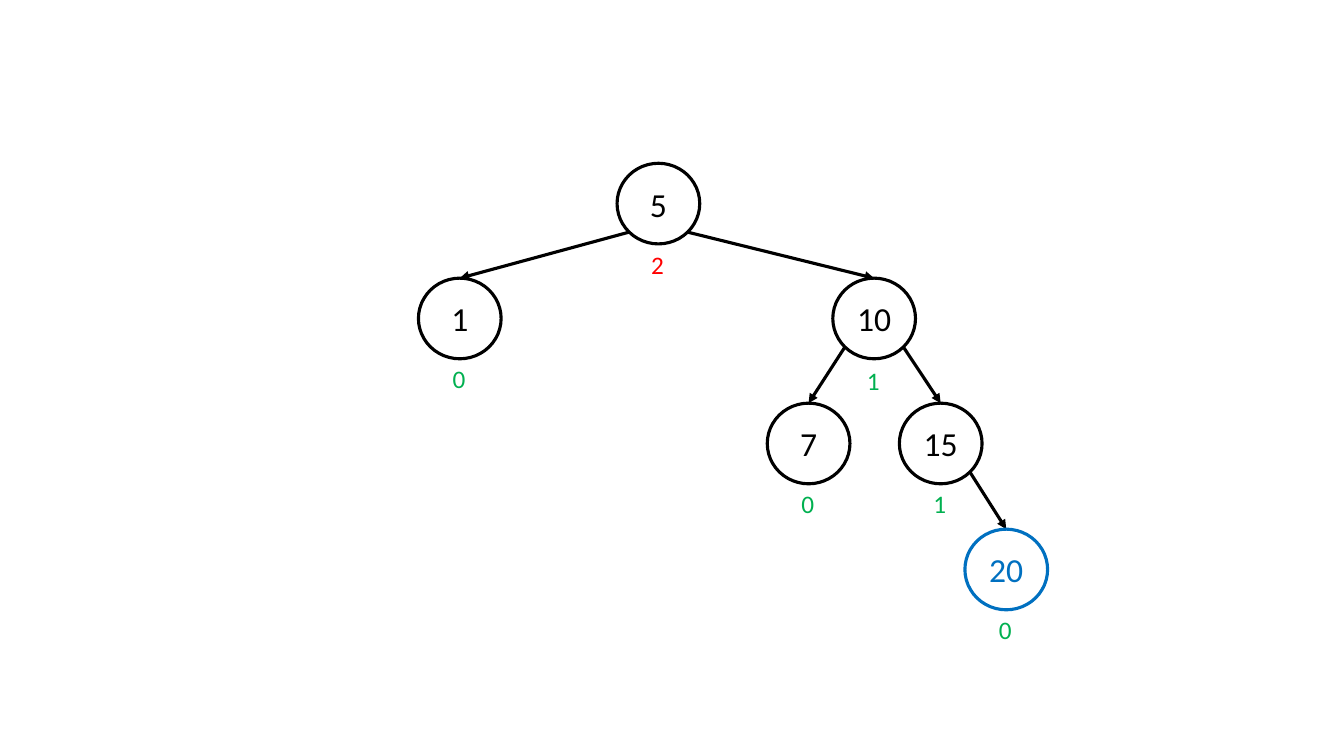
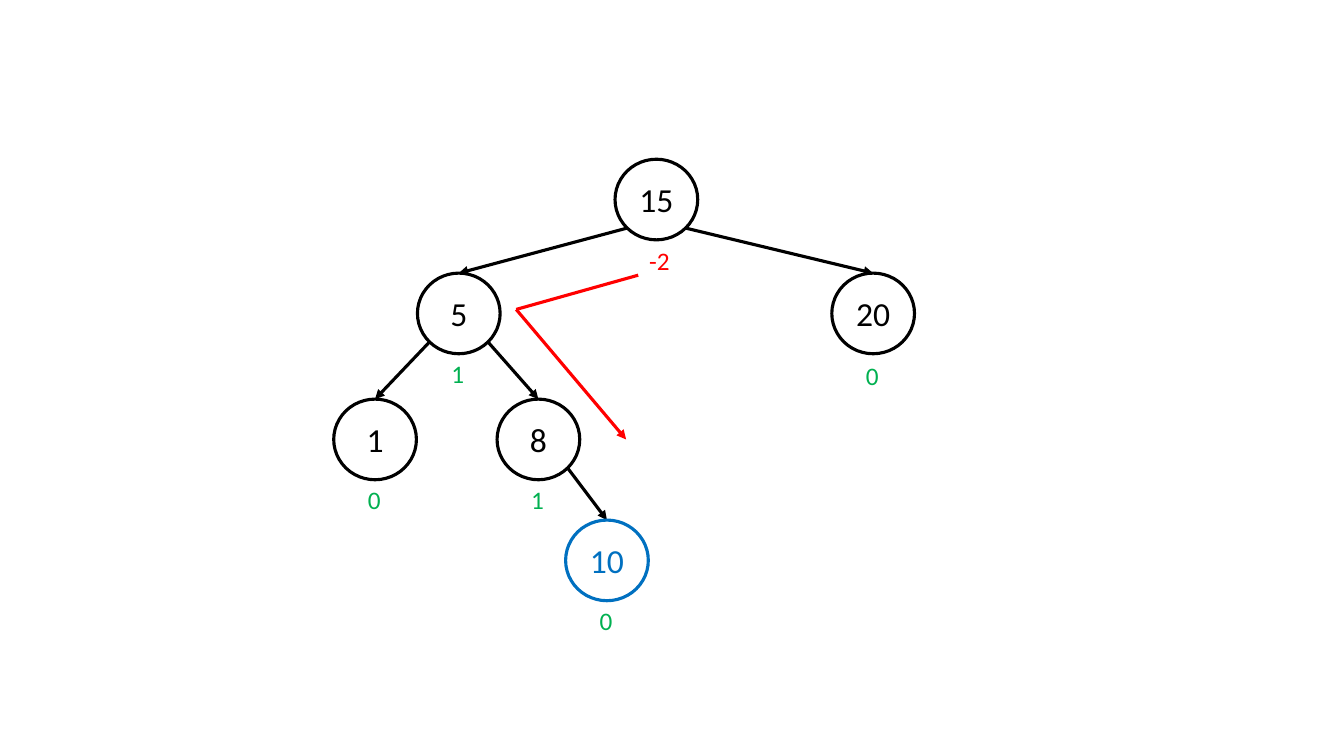
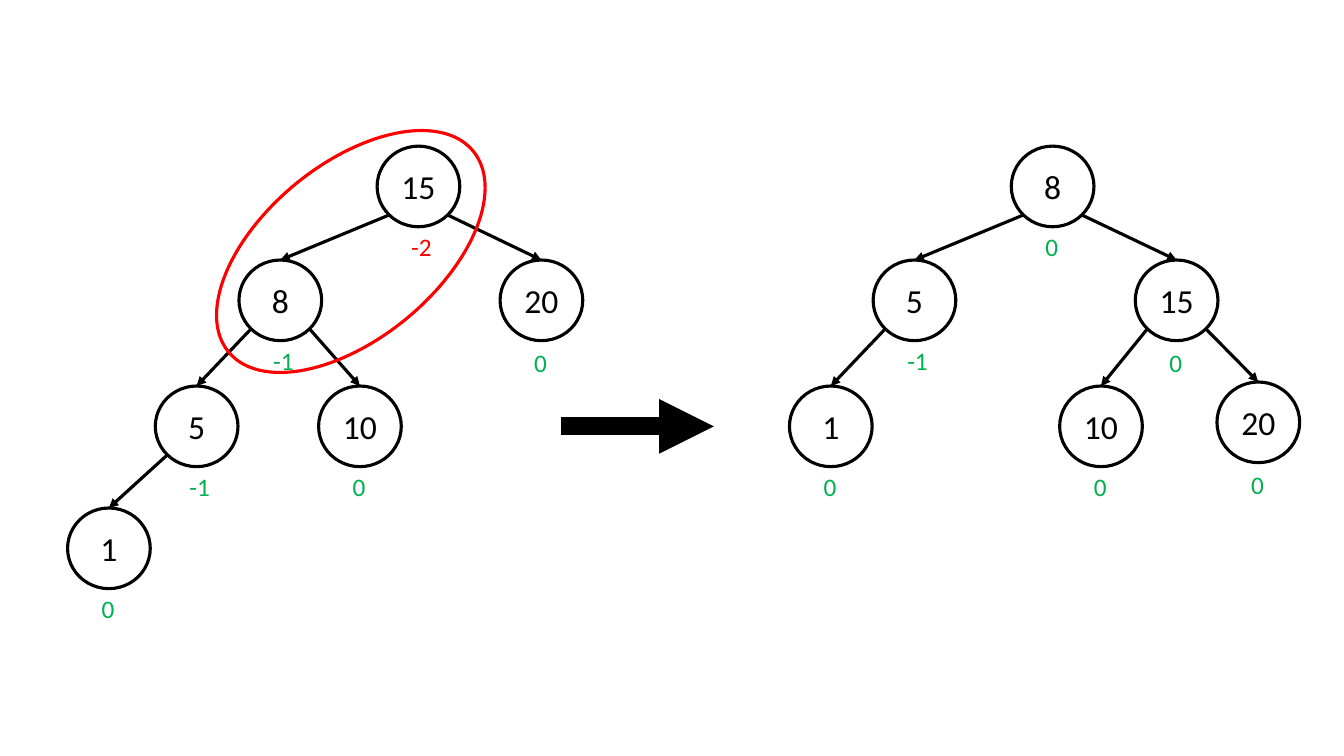
from dataclasses import dataclass
from typing import Optional

from lxml.etree import SubElement
from pptx import Presentation
from pptx.dml.color import RGBColor
from pptx.enum.shapes import MSO_CONNECTOR, MSO_SHAPE
from pptx.enum.text import MSO_ANCHOR, MSO_AUTO_SIZE, PP_ALIGN
from pptx.oxml.ns import qn
from pptx.util import Inches, Pt


@dataclass(frozen=True)
class Theme:
    font: str = "Calibri"
    black: RGBColor = RGBColor(0x00, 0x00, 0x00)
    blue: RGBColor = RGBColor(0x00, 0x70, 0xC0)
    green: RGBColor = RGBColor(0x00, 0xB0, 0x50)
    red: RGBColor = RGBColor(0xFF, 0x00, 0x00)
    key_size: int = 24
    balance_size: int = 18
    line_width: float = 2.25
    step_width: float = 13
    node_width: float = 0.82
    node_height: float = 0.8


THEME = Theme()
DIAGONAL = 0.5 ** 0.5


@dataclass
class Node:
    key: int
    x: float
    y: float
    balance: int
    left: Optional["Node"] = None
    right: Optional["Node"] = None
    inserted: bool = False
    label_gap: float = 0


def write_text(frame, text, *, size, color, align=PP_ALIGN.LEFT, anchor=MSO_ANCHOR.TOP):
    frame.vertical_anchor = anchor
    para = frame.paragraphs[0]
    para.alignment = align
    span = para.add_run()
    span.text = text
    span.font.name = THEME.font
    span.font.size = Pt(size)
    span.font.color.rgb = color


def add_ellipse(page, x, y, width, height, color, rotation=0):
    ellipse = page.shapes.add_shape(
        MSO_SHAPE.OVAL, Inches(x), Inches(y), Inches(width), Inches(height))
    ellipse.shadow.inherit = False
    ellipse.fill.background()
    ellipse.line.color.rgb = color
    ellipse.line.width = Pt(THEME.line_width)
    ellipse.rotation = rotation
    return ellipse


def add_line(page, start, end, color=THEME.black, width=THEME.line_width, arrow=True):
    points = [Inches(value) for value in (*start, *end)]
    connector = page.shapes.add_connector(MSO_CONNECTOR.STRAIGHT, *points)
    connector.line.color.rgb = color
    connector.line.width = Pt(width)
    properties = connector.element.spPr
    if arrow:
        SubElement(properties.find(qn("a:ln")), qn("a:tailEnd"), type="triangle")
    SubElement(properties, qn("a:effectLst"))


def add_balance(page, node):
    width = 0.41 if node.balance < 0 else 0.33
    box = page.shapes.add_textbox(
        Inches(node.x + 0.24), Inches(node.y + THEME.node_height + node.label_gap),
        Inches(width), Inches(0.4))
    box.text_frame.word_wrap = False
    box.text_frame.auto_size = MSO_AUTO_SIZE.SHAPE_TO_FIT_TEXT
    color = THEME.red if abs(node.balance) > 1 else THEME.green
    write_text(box.text_frame, str(node.balance), size=THEME.balance_size, color=color)


def add_tree(page, node):
    half_width, half_height = THEME.node_width / 2, THEME.node_height / 2
    center = node.x + half_width
    edge_y = node.y + half_height * (1 + DIAGONAL)
    for child, side in ((node.left, -1), (node.right, 1)):
        if child:
            start = (center + side * half_width * DIAGONAL, edge_y)
            add_line(page, start, (child.x + half_width, child.y))
            add_tree(page, child)
    color = THEME.blue if node.inserted else THEME.black
    circle = add_ellipse(page, node.x, node.y, THEME.node_width, THEME.node_height, color)
    write_text(circle.text_frame, str(node.key), size=THEME.key_size, color=color,
               align=PP_ALIGN.CENTER, anchor=MSO_ANCHOR.MIDDLE)
    add_balance(page, node)


def add_page(deck):
    return deck.slides.add_slide(deck.slide_layouts[6])


def add_right_heavy_page(deck):
    inserted = Node(20, 9.57, 5.25, 0, inserted=True)
    right = Node(10, 8.26, 2.76, 1, label_gap=0.02,
                 left=Node(7, 7.61, 4, 0),
                 right=Node(15, 8.92, 4, 1, right=inserted))
    add_tree(add_page(deck), Node(5, 6.12, 1.62, 2, Node(1, 4.15, 2.76, 0), right))


def add_left_right_page(deck):
    page = add_page(deck)
    inserted = Node(10, 5.61, 5.16, 0, inserted=True)
    left = Node(5, 4.14, 2.71, 1,
                left=Node(1, 3.31, 3.96, 0),
                right=Node(8, 4.93, 3.96, 1, right=inserted))
    right = Node(20, 8.25, 2.71, 0, label_gap=0.02)
    add_tree(page, Node(15, 6.1, 1.58, -2, left, right))
    bend = (5.12, 3.07)
    add_line(page, (6.33, 2.73), bend, THEME.red, arrow=False)
    add_line(page, bend, (6.21, 4.36), THEME.red)


def add_rotation_page(deck):
    page = add_page(deck)
    add_line(page, (5.56, 4.23), (7.08, 4.23), width=THEME.step_width)
    left = Node(8, 2.37, 2.58, -1,
                left=Node(5, 1.54, 3.83, -1, left=Node(1, 0.67, 5.04, 0)),
                right=Node(10, 3.16, 3.83, 0))
    right = Node(20, 4.96, 2.58, 0, label_gap=0.02)
    add_tree(page, Node(15, 3.74, 1.45, -2, left, right))
    add_ellipse(page, 1.91, 1.63, 3.14, 1.73, THEME.red, rotation=320.6)

    left = Node(5, 8.66, 2.58, -1, left=Node(1, 7.83, 3.83, 0))
    right = Node(15, 11.26, 2.58, 0, label_gap=0.02,
                 left=Node(10, 10.51, 3.83, 0),
                 right=Node(20, 12.07, 3.79, 0, label_gap=0.02))
    add_tree(page, Node(8, 10.03, 1.45, 0, left, right))


def main():
    deck = Presentation()
    deck.slide_width, deck.slide_height = Inches(13.33), Inches(7.5)
    add_right_heavy_page(deck)
    add_left_right_page(deck)
    add_rotation_page(deck)
    deck.save("out.pptx")


if __name__ == "__main__":
    main()
